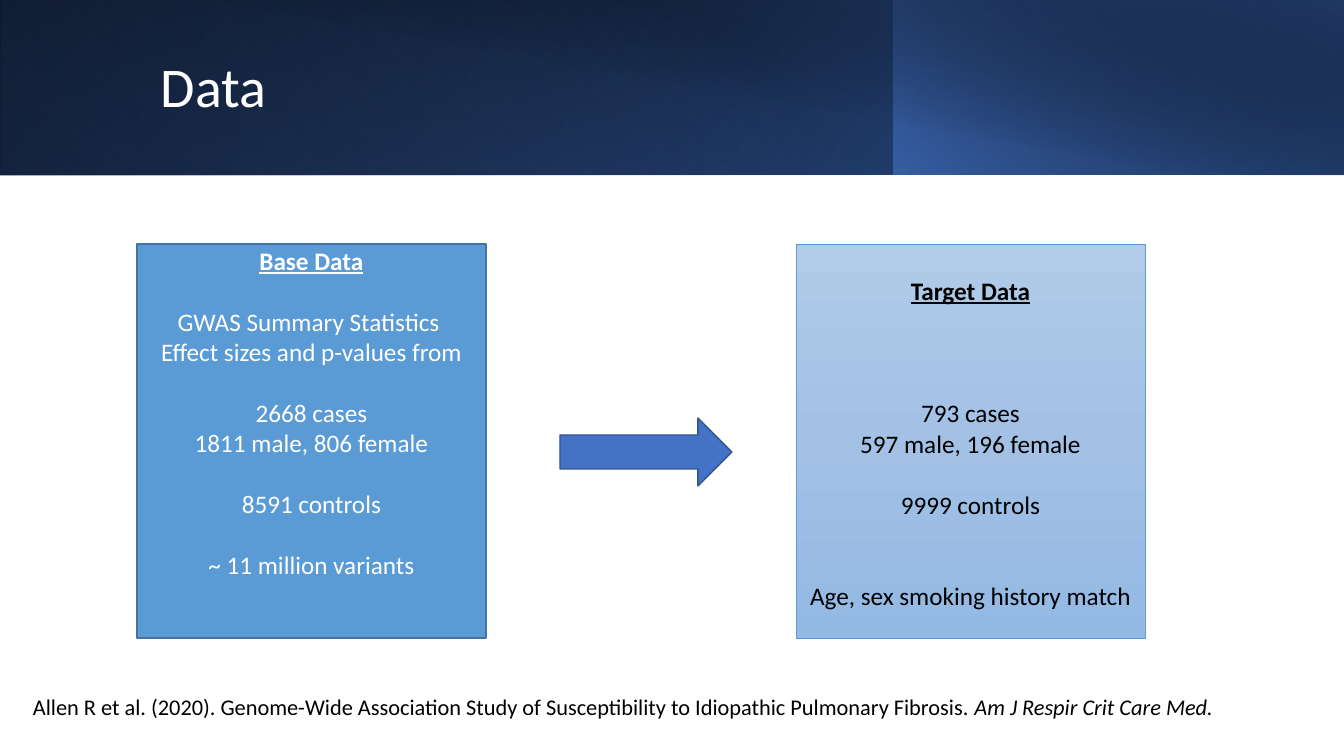
from pptx import Presentation
from pptx.dml.color import RGBColor
from pptx.enum.shapes import MSO_SHAPE
from pptx.enum.text import MSO_ANCHOR, PP_ALIGN
from pptx.oxml import parse_xml
from pptx.oxml.ns import nsdecls, qn
from pptx.util import Pt

RECTANGLE = MSO_SHAPE.RECTANGLE
RIGHT_ARROW = MSO_SHAPE.RIGHT_ARROW
TOP, MIDDLE = MSO_ANCHOR.TOP, MSO_ANCHOR.MIDDLE
LEFT, CENTER = PP_ALIGN.LEFT, PP_ALIGN.CENTER

EMU_PER_PX = 914400 / 100.8
WIDTH, HEIGHT = 1344, 756
LINE_PT = 22  # height of one 18 pt line

COLORS = {
    "white": "FFFFFF",
    "black": "000000",
    "blue": "4472C4",
    "mid_blue": "2F5597",
    "navy": "203864",
    "arrow_edge": "325491",
    "base": "5B9BD5",
    "base_edge": "43739E",
    "target_top": "B1CBE9",
    "target_middle": "A3C1E5",
    "target_bottom": "93B9E4",
}


def px(length):
    return round(length * EMU_PER_PX)


def rgb(name):
    return RGBColor.from_string(COLORS[name])


class SlideBuilder:
    font = "Calibri"

    def __init__(self, deck):
        self.page = deck.slides.add_slide(deck.slide_layouts[6])

    def shape(self, box, kind=RECTANGLE, fill=None, edge=None, edge_pt=1):
        shape = self.page.shapes.add_shape(kind, *map(px, box))
        shape.shadow.inherit = False
        if fill:
            shape.fill.solid()
            shape.fill.fore_color.rgb = rgb(fill)
        if edge:
            shape.line.color.rgb = rgb(edge)
            shape.line.width = Pt(edge_pt)
        else:
            shape.line.fill.background()
        return shape

    def gradient(self, shape, stops, angle):
        """Fill with (position %, colour, opacity %) stops, angle clockwise."""
        shape.fill.gradient()
        properties = shape.element.spPr
        marks = "".join(
            f'<a:gs pos="{position * 1000}"><a:srgbClr val="{COLORS[color]}">'
            f'<a:alpha val="{opacity * 1000}"/></a:srgbClr></a:gs>'
            for position, color, opacity in stops
        )
        properties.replace(
            properties.find(qn("a:gradFill")),
            parse_xml(
                f'<a:gradFill {nsdecls("a")} rotWithShape="1"><a:gsLst>{marks}</a:gsLst>'
                f'<a:lin ang="{angle * 60000}" scaled="0"/></a:gradFill>'
            ),
        )

    def band(self, box, stops, angle, flip=True, rotation=0):
        shape = self.shape(box)
        self.gradient(shape, stops, angle)
        shape.rotation = rotation
        if flip:
            shape.element.spPr.find(qn("a:xfrm")).set("flipH", "1")

    def span(self, para, text, size, color, bold=False, italic=False, underline=False):
        span = para.add_run()
        span.text = text
        font = span.font
        font.name, font.size = self.font, Pt(size)
        font.color.rgb = rgb(color)
        font.bold, font.italic, font.underline = bold, italic, underline

    def text(self, box, spans, size, color, anchor=TOP, spacing=1.0):
        """Place one paragraph made of (text, italic) spans."""
        frame = self.page.shapes.add_textbox(*map(px, box)).text_frame
        frame.word_wrap = True
        frame.vertical_anchor = anchor
        para = frame.paragraphs[0]
        para.alignment = LEFT
        para.line_spacing = spacing
        for text, italic in spans:
            self.span(para, text, size, color, italic=italic)

    def card_text(self, shape, heading, lines, color, top):
        """Write a heading and (text, lines of space above) rows into a card."""
        frame = shape.text_frame
        frame.word_wrap = True
        frame.vertical_anchor = TOP
        frame.margin_top, frame.margin_bottom = px(top), 0
        para = frame.paragraphs[0]
        para.alignment = CENTER
        self.span(para, heading, 18, color, bold=True, underline=True)
        for text, gap in lines:
            para = frame.add_paragraph()
            para.alignment = CENTER
            para.space_before = Pt(gap * LINE_PT)
            self.span(para, text, 18, color)


def main():
    deck = Presentation()
    deck.slide_width, deck.slide_height = px(WIDTH), px(HEIGHT)
    slide = SlideBuilder(deck)

    slide.band((0, 0, WIDTH, 175), [(0, "black", 100), (100, "mid_blue", 100)], 140)
    slide.band((0, 0, 895, 175), [(20, "blue", 0), (100, "navy", 55)], 230, rotation=180)
    slide.band((894, 0, 450, 175), [(0, "blue", 66), (100, "black", 30)], 220)
    slide.band((50, 0, 1294, 176), [(50, "black", 0), (99, "navy", 52)], 280, flip=False)
    slide.text((151, 32, 1091, 114), [("Data", False)], 40, "white", MIDDLE, 0.9)

    base = slide.shape((137, 244, 349, 394), fill="base", edge="base_edge")
    slide.card_text(base, "Base Data", [
        ("GWAS Summary Statistics ", 1),
        ("Effect sizes and p-values from", 0),
        ("2668 cases", 1),
        ("1811 male, 806 female", 0),
        ("8591 controls", 1),
        ("~ 11 million variants", 1),
    ], "white", 1)

    target = slide.shape((796, 244, 349, 394), edge="base", edge_pt=0.5)
    slide.gradient(target, [
        (0, "target_top", 100),
        (50, "target_middle", 100),
        (100, "target_bottom", 100),
    ], 90)
    slide.card_text(target, "Target Data", [
        ("793 cases", 3),
        ("597 male, 196 female", 0),
        ("9999 controls", 1),
        ("Age, sex smoking history match", 2),
    ], "black", 31)

    slide.shape((560, 418, 172, 68), RIGHT_ARROW, "blue", "arrow_edge")
    slide.text((23, 688, 1219, 37), [
        ("Allen R et al. (2020). Genome-Wide Association Study of Susceptibility "
         "to Idiopathic Pulmonary Fibrosis. ", False),
        ("Am J Respir Crit Care Med.", True),
    ], 16, "black")

    deck.save("out.pptx")


if __name__ == "__main__":
    main()
